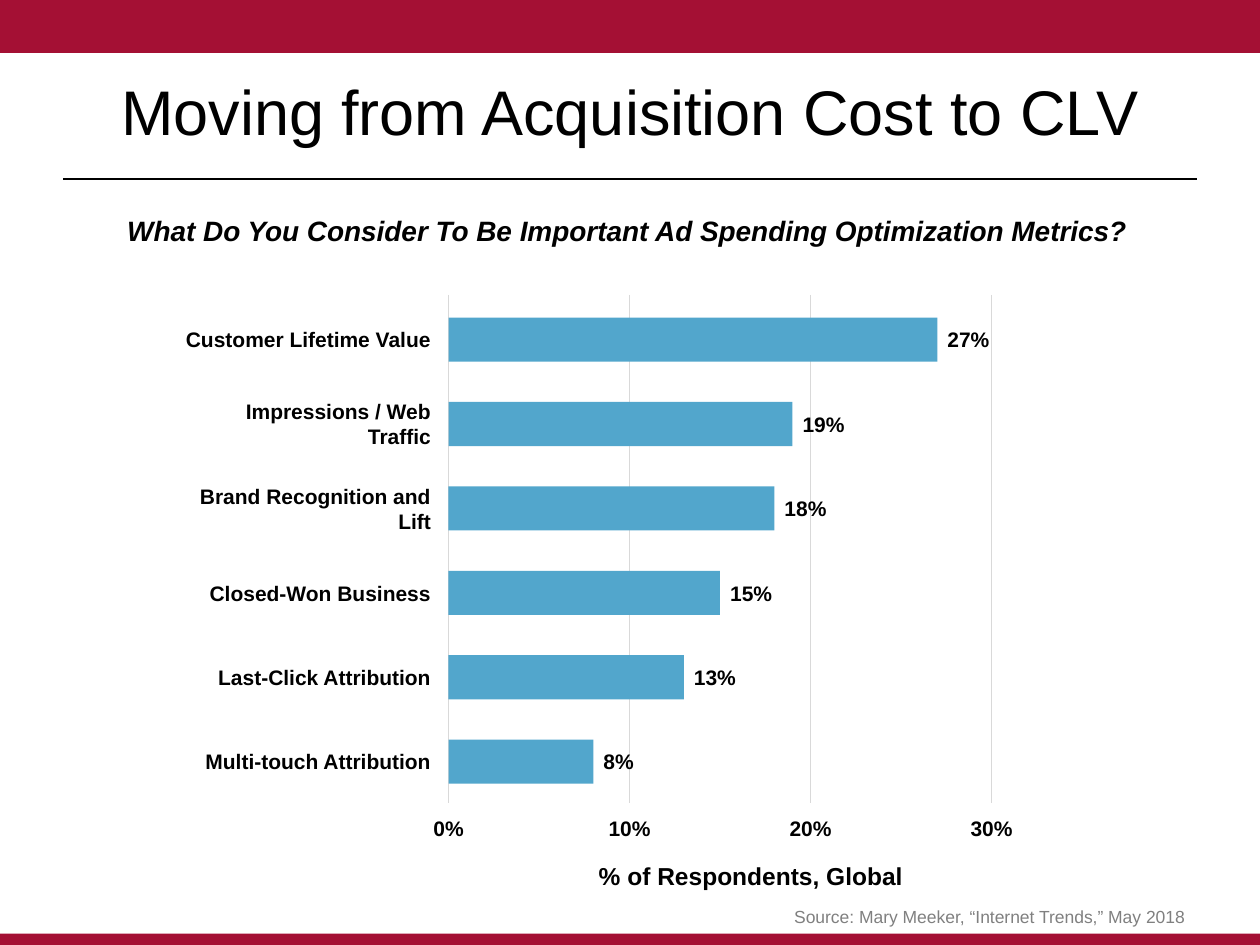
from typing import NamedTuple

from pptx import Presentation
from pptx.dml.color import RGBColor
from pptx.enum.shapes import MSO_CONNECTOR, MSO_SHAPE
from pptx.enum.text import MSO_ANCHOR, PP_ALIGN
from pptx.oxml.ns import qn
from pptx.util import Inches, Pt

LEFT, CENTER, RIGHT = PP_ALIGN.LEFT, PP_ALIGN.CENTER, PP_ALIGN.RIGHT
MIDDLE, BOTTOM = MSO_ANCHOR.MIDDLE, MSO_ANCHOR.BOTTOM
RECTANGLE, STRAIGHT = MSO_SHAPE.RECTANGLE, MSO_CONNECTOR.STRAIGHT

COLORS = {"band": "A41034", "bar": "52A6CC", "grid": "D9D9D9",
          "text": "000000", "source": "808080"}
FONT = "Arial"
AXIS_X = 3.56
AXIS_WIDTH = 4.31
AXIS_MAX = 30
GRID_TOP, GRID_BOTTOM = 2.34, 6.37
FIRST_BAR_TOP, BAR_HEIGHT, ROW_PITCH = 2.52, 0.35, 0.67
VALUE_GAP = 0.08
LABEL_HEIGHT = 0.26
VALUE_WIDTH = 0.48
NAME_LEFT, NAME_WIDTH = 1.44, 1.98


class Box(NamedTuple):
    left: float
    top: float
    width: float
    height: float


class Metric(NamedTuple):
    name: str
    percent: int


METRICS = [
    Metric("Customer Lifetime Value", 27),
    Metric("Impressions / Web Traffic", 19),
    Metric("Brand Recognition and Lift", 18),
    Metric("Closed-Won Business", 15),
    Metric("Last-Click Attribution", 13),
    Metric("Multi-touch Attribution", 8),
]


def write(frame, text: str, size: float, color: str = "text", align=LEFT,
          anchor=MIDDLE, **font_format) -> None:
    frame.vertical_anchor = anchor
    paragraph = frame.paragraphs[0]
    paragraph.alignment = align
    run = paragraph.add_run()
    run.text = text
    formats = {"name": FONT, "size": Pt(size), **font_format}
    for attribute, value in formats.items():
        setattr(run.font, attribute, value)
    run.font.color.rgb = RGBColor.from_string(COLORS[color])


def add_label(shapes, box: Box, text: str, size: float = 12, align=LEFT,
              **font_format) -> None:
    frame = shapes.add_textbox(*map(Inches, box)).text_frame
    frame.word_wrap = False
    for side in ("left", "top", "right", "bottom"):
        setattr(frame, f"margin_{side}", 0)
    write(frame, text, size, align=align, bold=True, **font_format)


def add_rectangle(shapes, box: Box, color: str) -> None:
    rectangle = shapes.add_shape(RECTANGLE, *map(Inches, box))
    rectangle.shadow.inherit = False
    rectangle.fill.solid()
    rectangle.fill.fore_color.rgb = RGBColor.from_string(COLORS[color])
    rectangle.line.fill.background()


def add_rule(shapes, start: tuple[float, float], end: tuple[float, float],
             color: str, width: float) -> None:
    rule = shapes.add_connector(STRAIGHT, *map(Inches, start + end))
    rule.line.color.rgb = RGBColor.from_string(COLORS[color])
    rule.line.width = Pt(width)
    properties = rule._element.spPr
    properties.append(properties.makeelement(qn("a:effectLst"), {}))


def axis_position(percent: float) -> float:
    return AXIS_X + AXIS_WIDTH * percent / AXIS_MAX


def add_metric(shapes, row: int, metric: Metric) -> None:
    top = FIRST_BAR_TOP + row * ROW_PITCH
    label_top = top + (BAR_HEIGHT - LABEL_HEIGHT) / 2
    end = axis_position(metric.percent)
    add_rectangle(shapes, Box(AXIS_X, top, end - AXIS_X, BAR_HEIGHT), "bar")
    add_label(shapes, Box(end + VALUE_GAP, label_top, VALUE_WIDTH, LABEL_HEIGHT),
              f"{metric.percent}%")
    add_label(shapes, Box(NAME_LEFT, label_top, NAME_WIDTH, LABEL_HEIGHT),
              metric.name, align=RIGHT)


def add_axis(shapes) -> None:
    for percent in range(0, AXIS_MAX + 1, 10):
        x = axis_position(percent)
        add_rule(shapes, (x, GRID_TOP), (x, GRID_BOTTOM), "grid", 1)
        add_label(shapes, Box(x - VALUE_WIDTH / 2, 6.44, VALUE_WIDTH, LABEL_HEIGHT),
                  f"{percent}%", align=CENTER)


def main() -> None:
    presentation = Presentation()
    presentation.slide_width = Inches(10)
    presentation.slide_height = Inches(7.5)
    slide = presentation.slides.add_slide(presentation.slide_layouts[5])
    shapes = slide.shapes

    add_rectangle(shapes, Box(0, 0, 10, 0.42), "band")
    add_rectangle(shapes, Box(0, 7.41, 10, 0.1), "band")
    add_rule(shapes, (0.5, 1.42), (9.5, 1.42), "text", 1.25)

    title = shapes.title
    title_box = Box(0.5, 0.25, 9, 1.25)
    for attribute, value in title_box._asdict().items():
        setattr(title, attribute, Inches(value))
    write(title.text_frame, "Moving from Acquisition Cost to CLV", 36, align=CENTER)

    source = shapes.add_textbox(*map(Inches, Box(0.5, 7.11, 9, 0.3))).text_frame
    source.word_wrap = False
    write(source, "Source: Mary Meeker, “Internet Trends,” May 2018", 10,
          "source", RIGHT, BOTTOM)

    survey = shapes.add_group_shape().shapes
    add_axis(survey)
    for row, metric in enumerate(METRICS):
        add_metric(survey, row, metric)
    add_label(survey, Box(4.74, 6.82, 2.44, LABEL_HEIGHT),
              "% of Respondents, Global", 14, CENTER)
    add_label(survey, Box(1.01, 1.7, 8.02, LABEL_HEIGHT),
              "What Do You Consider To Be Important Ad Spending Optimization Metrics?",
              16, italic=True)

    presentation.save("out.pptx")


if __name__ == "__main__":
    main()
